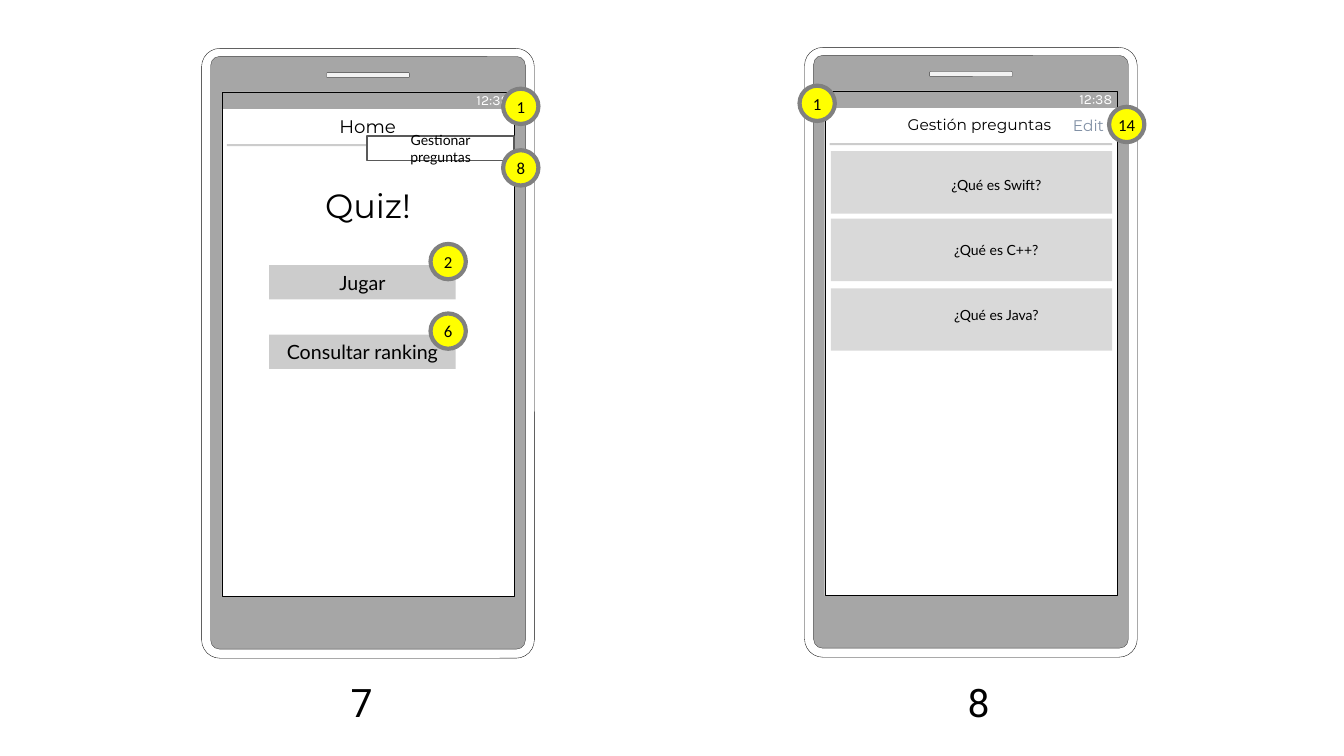
from dataclasses import dataclass

from lxml import etree
from pptx import Presentation
from pptx.dml.color import RGBColor
from pptx.enum.shapes import MSO_SHAPE as SHAPE
from pptx.enum.text import MSO_ANCHOR as ANCHOR, PP_ALIGN as ALIGN
from pptx.oxml.ns import qn
from pptx.util import Emu, Pt

PX = 9144


@dataclass(frozen=True)
class Theme:
    """Colours, fonts and type sizes of the wireframes."""
    ink: str = "000000"
    paper: str = "FFFFFF"
    case_edge: str = "0D0D0D"
    body: str = "A6A6A6"
    body_edge: str = "404040"
    speaker: str = "F2F2F2"
    button: str = "CCCCCC"
    row: str = "D9D9D9"
    menu_edge: str = "595959"
    link: str = "8190A5"
    badge: str = "FFFF00"
    badge_edge: str = "808080"
    heading_font: str = "Montserrat"
    ui_font: str = "Lato"
    clock_font: str = "Karla"
    caption_font: str = "Roboto"
    badge_font: str = "Calibri"
    caption: int = 28
    hero: int = 24
    action: int = 14
    heading: int = 13
    badge_size: int = 12
    subheading: int = 11
    small: int = 10


class Wireframe:
    """Draws phone mock-ups on one slide, with lengths in px."""

    def __init__(self, s, theme):
        self.s, self.t = s, theme

    def set_text(self, sp, text, font, size, color=None, align=ALIGN.CENTER,
                 anchor=ANCHOR.MIDDLE, insets=(10, 5, 10, 5)):
        """Fill a shape's text frame and format its runs."""
        tf = sp.text_frame
        tf.word_wrap = True
        tf.vertical_anchor = anchor
        (tf.margin_left, tf.margin_top,
         tf.margin_right, tf.margin_bottom) = (Emu(v * PX) for v in insets)
        p = tf.paragraphs[0]
        p.text = text
        p.alignment = align
        for r in p.runs:
            r.font.name, r.font.size = font, Pt(size)
            r.font.color.rgb = RGBColor.from_string(color or self.t.ink)

    def box(self, x, y, w, h, fill, line=None, width=0.25,
            kind=SHAPE.RECTANGLE, radius=None, shapes=None):
        """Add a filled preset shape, optionally outlined."""
        shapes = self.s.shapes if shapes is None else shapes
        sp = shapes.add_shape(kind, *(Emu(v * PX) for v in (x, y, w, h)))
        sp.shadow.inherit = False
        sp.fill.solid()
        sp.fill.fore_color.rgb = RGBColor.from_string(fill)
        if line:
            sp.line.color.rgb = RGBColor.from_string(line)
            sp.line.width = Pt(width)
        else:
            sp.line.fill.background()
        if radius is not None:
            sp.adjustments[0] = radius
        return sp

    def label(self, x, y, w, h, text, font, size, **style):
        """Add a text box."""
        sp = self.s.shapes.add_textbox(*(Emu(v * PX) for v in (x, y, w, h)))
        self.set_text(sp, text, font, size, **style)

    def phone(self, x, y):
        """Add a grouped phone with clock bar and title rule."""
        t, shapes = self.t, self.s.shapes.add_group_shape().shapes
        rounded = SHAPE.ROUNDED_RECTANGLE
        self.box(x, y, 330, 605, t.paper, t.case_edge, kind=rounded, radius=0.055, shapes=shapes)
        self.box(x + 9, y + 8, 312, 588, t.body, t.body_edge, kind=rounded, radius=0.028, shapes=shapes)
        self.box(x + 124, y + 24, 82, 5, t.speaker, t.body_edge, kind=rounded, shapes=shapes)
        self.box(x + 20, y + 43, 290, 501, t.paper, t.ink, shapes=shapes)
        bar = self.box(x + 20, y + 43, 290, 17, t.ink, shapes=shapes)
        color = bar.element.spPr.find(qn("a:solidFill"))[0]
        etree.SubElement(color, qn("a:alpha"), val="35000")
        self.set_text(bar, "12:38", t.clock_font, t.small, t.paper, ALIGN.RIGHT, insets=(5, 5, 5, 5))
        self.box(x + 25, y + 95, 280, 2, t.button, shapes=shapes)

    def button(self, y, text):
        """Add a main action button."""
        sp = self.box(267, y, 185, 34, self.t.button)
        self.set_text(sp, text, self.t.ui_font, self.t.action)

    def menu(self, x, y, w, h, text):
        """Add an outlined menu entry."""
        sp = self.box(x, y, w, h, self.t.paper, self.t.menu_edge, 1)
        self.set_text(sp, text, self.t.ui_font, self.t.small)

    def question(self, y, text, drop):
        """Add a question row, its text lowered by drop px."""
        sp = self.box(824, y, 279, 62, self.t.row)
        self.set_text(sp, text, self.t.ui_font, self.t.small, insets=(59, 5 + drop, 10, 5 - drop))

    def badge(self, x, y, number):
        """Add a round numbered marker."""
        t = self.t
        sp = self.box(x, y, 35, 35, t.badge, t.badge_edge, 3, SHAPE.OVAL)
        self.set_text(sp, number, t.badge_font, t.badge_size, insets=(0, 0, 0, 0))

    def caption(self, x, text):
        """Add the screen number below a phone."""
        self.label(x, 668, 54, 57, text, self.t.caption_font, self.t.caption,
                   align=ALIGN.LEFT, anchor=ANCHOR.TOP)


def main():
    """Build the two-screen slide."""
    prs = Presentation()
    prs.slide_width, prs.slide_height = Emu(1333 * PX), Emu(750 * PX)
    t = Theme()
    wf = Wireframe(prs.slides.add_slide(prs.slide_layouts[6]), t)

    for x, y, caption_x, number in ((200, 48, 338, "7"), (798, 47, 950, "8")):
        wf.phone(x, y)
        wf.caption(caption_x, number)

    wf.label(325, 109, 79, 32, "Home", t.heading_font, t.heading)
    wf.menu(364, 135, 146, 24, "Gestionar\vpreguntas")
    wf.label(311, 180, 108, 46, "Quiz!", t.heading_font, t.hero)
    for y, text in ((263, "Jugar"), (332, "Consultar ranking")):
        wf.button(y, text)

    wf.label(874, 105, 195, 36, "Gestión preguntas", t.heading_font, t.subheading)
    wf.label(1047, 109, 65, 30, "Edit", t.heading_font, t.subheading, color=t.link)
    for y, text, drop in ((150, "¿Qué es Swift?", 2), (217, "¿Qué es C++?", 0),
                          (286, "¿Qué es Java?", -5)):
        wf.question(y, text, drop)

    for x, y, number in ((427, 242, "2"), (427, 311, "6"), (499, 149, "8"),
                         (499, 88, "1"), (793, 85, "1"), (1100, 106, "14")):
        wf.badge(x, y, number)

    prs.save("out.pptx")


if __name__ == "__main__":
    main()
